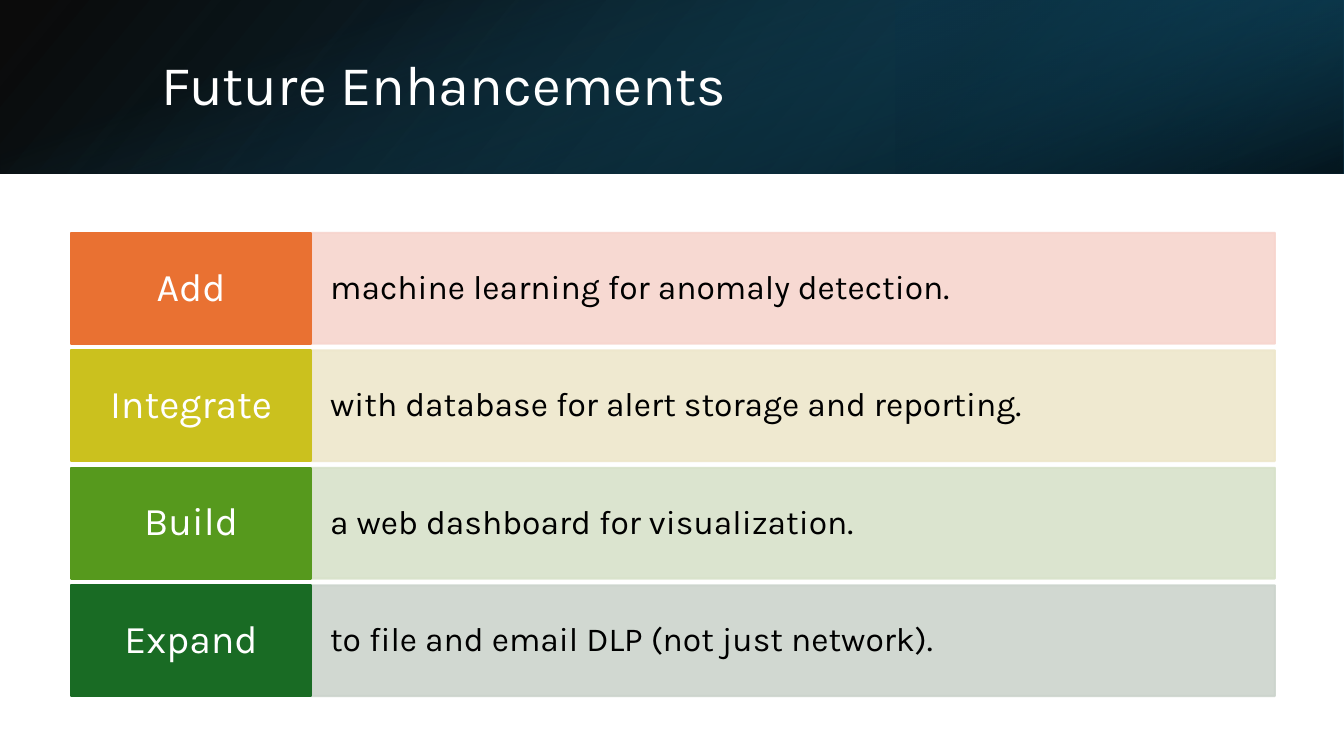
from lxml import etree
from pptx import Presentation
from pptx import util as u
from pptx.dml.color import RGBColor
from pptx.enum import shapes, text
from pptx.oxml.ns import qn

SLIDE_WIDTH, BANNER_HEIGHT = 33.87, 4.37
FONT = "Karla"


def add_box(left, top, width, height, colors, angle=0):
    """Add a rectangle; colors are (hex, opacity %, position %), two of them for a gradient."""
    box = slide.shapes.add_shape(shapes.MSO_SHAPE.RECTANGLE,
                                 *map(u.Cm, (left, top, width, height)))
    box.shadow.inherit = False
    if len(colors) == 1:
        box.fill.solid()
        targets = [box.fill.fore_color, box.line.color]
        colors = colors * 2
        box.line.width = u.Pt(1.5)
    else:
        box.line.fill.background()
        box.fill.gradient()
        box.fill.gradient_angle = 360 - angle
        targets = []
        for stop, (_, _, position) in zip(box.fill.gradient_stops, colors):
            stop.position = position / 100
            targets.append(stop.color)
    for target, (color, _, _) in zip(targets, colors):
        target.rgb = RGBColor.from_string(color)
    for node, (_, opacity, _) in zip(box.element.iter(qn("a:srgbClr")), colors):
        if opacity < 100:
            etree.SubElement(node, qn("a:alpha"), val=str(opacity * 1000))
    return box


def write(box, words, size, color, align=text.PP_ALIGN.LEFT, inset=0.25):
    frame = box.text_frame
    frame.word_wrap = True
    frame.auto_size = text.MSO_AUTO_SIZE.NONE
    frame.vertical_anchor = text.MSO_ANCHOR.MIDDLE
    frame.margin_left = frame.margin_right = u.Cm(inset)
    para = frame.paragraphs[0]
    para.alignment = align
    para.line_spacing = 0.9
    span = para.add_run()
    span.text = words
    span.font.name = FONT
    span.font.size = u.Pt(size)
    span.font.color.rgb = RGBColor.from_string(color)


deck = Presentation()
deck.slide_width, deck.slide_height = u.Cm(SLIDE_WIDTH), u.Cm(19.05)
slide = deck.slides.add_slide(deck.slide_layouts[5])

# Banner: three translucent gradients on top of each other
base = add_box(0, 0, SLIDE_WIDTH, BANNER_HEIGHT,
               [("000000", 96, 0), ("104862", 100, 100)], angle=140)
glow = add_box(22.58, 0, 11.28, BANNER_HEIGHT,
               [("0B3041", 68, 19), ("156082", 79, 100)], angle=320)
glow.rotation = 180
for layer in (base, glow):
    layer.element.spPr.find(qn("a:xfrm")).set("flipH", "1")
shade = add_box((SLIDE_WIDTH - BANNER_HEIGHT) / 2, (BANNER_HEIGHT - SLIDE_WIDTH) / 2,
                BANNER_HEIGHT, SLIDE_WIDTH,
                [("156082", 0, 23), ("000000", 74, 99)], angle=340)
shade.rotation = 90

title = slide.shapes.title
title.left, title.top, title.width, title.height = map(u.Cm, (3.81, 0.97, 27.88, 2.44))
write(title, "Future Enhancements", 40, "FFFFFF")
shade.element.addnext(title.element)

# Rows: a coloured verb and a pale panel with the rest of the sentence
enhancements = [
    ("Add", "machine learning for anomaly detection.", "E97132", "F7D5CE"),
    ("Integrate", "with database for alert storage and reporting.", "CBC11E", "EEE7CB"),
    ("Build", "a web dashboard for visualization.", "56991D", "D8E2CA"),
    ("Expand", "to file and email DLP (not just network).", "196B24", "CCD4CD"),
]
VERB_LEFT, VERB_WIDTH, PANEL_WIDTH = 1.78, 6.07, 24.28
FIRST_TOP, ROW_HEIGHT, ROW_PITCH = 5.87, 2.79, 2.96

for row, (verb, detail, strong, pale) in enumerate(enhancements):
    top = FIRST_TOP + row * ROW_PITCH
    panel = add_box(VERB_LEFT + VERB_WIDTH, top, PANEL_WIDTH, ROW_HEIGHT, [(pale, 90, 0)])
    write(panel, detail, 24, "000000", inset=0.47)
    label = add_box(VERB_LEFT, top, VERB_WIDTH, ROW_HEIGHT, [(strong, 100, 0)])
    write(label, verb, 28, "FFFFFF", align=text.PP_ALIGN.CENTER, inset=0.32)

deck.save("out.pptx")
